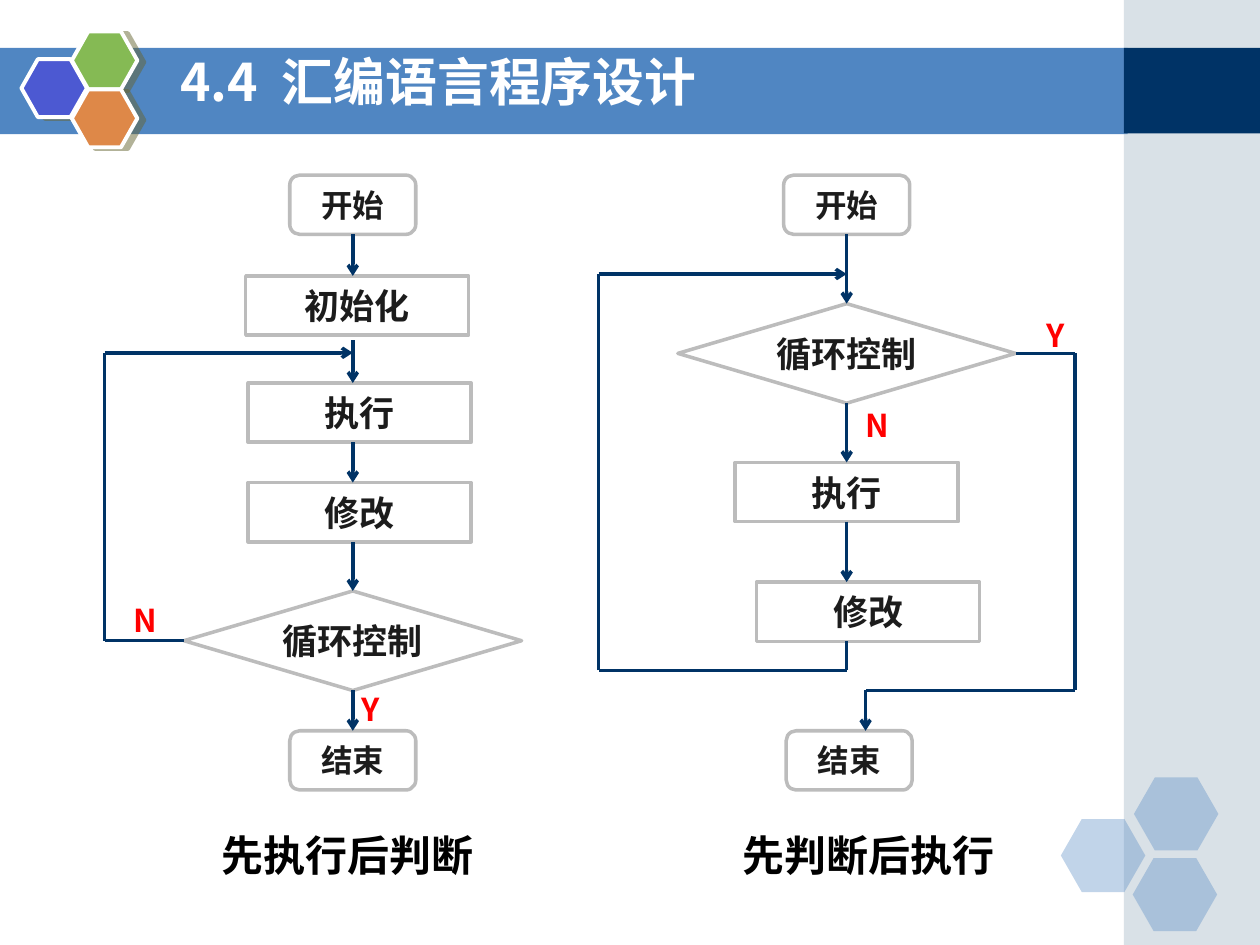
from lxml import etree
from pptx import Presentation
from pptx.dml.color import RGBColor
from pptx.enum.shapes import MSO_CONNECTOR, MSO_SHAPE
from pptx.enum.text import MSO_ANCHOR, MSO_AUTO_SIZE, PP_ALIGN
from pptx.oxml.ns import qn
from pptx.util import Inches, Pt

RECTANGLE, HEXAGON = MSO_SHAPE.RECTANGLE, MSO_SHAPE.HEXAGON
TERMINAL = MSO_SHAPE.FLOWCHART_ALTERNATE_PROCESS
PROCESS, DECISION = MSO_SHAPE.FLOWCHART_PROCESS, MSO_SHAPE.FLOWCHART_DECISION
STRAIGHT = MSO_CONNECTOR.STRAIGHT
MIDDLE, NO_FIT = MSO_ANCHOR.MIDDLE, MSO_AUTO_SIZE.NONE
LEFT, CENTER = PP_ALIGN.LEFT, PP_ALIGN.CENTER
TOP_SITE, LEFT_SITE, BOTTOM_SITE, RIGHT_SITE = range(4)

FONT = "Noto Sans CJK SC"
COLORS = {
    "band": "5086C2", "side": "A0B5C4", "navy": "003366", "white": "FFFFFF",
    "violet": "4C59D2", "green": "85BA54", "orange": "DE8848", "shade": "666633",
    "border": "BCBCBC", "ink": "1C1C1C", "answer": "FF0000", "black": "000000",
}

deck = Presentation()
deck.slide_width, deck.slide_height = Inches(10), Inches(7.5)
UNIT = deck.slide_width / 100  # the page is a grid of 100 columns by 75 rows
page = deck.slides.add_slide(deck.slide_layouts[5])


def add_figure(kind, area, fill, border=None, width=2, opacity=100):
    """Draw a preset shape on the grid; area is left, top, width, height."""
    figure = page.shapes.add_shape(kind, *[round(v * UNIT) for v in area])
    figure.shadow.inherit = False
    figure.fill.solid()
    figure.fill.fore_color.rgb = RGBColor.from_string(COLORS[fill])
    if opacity < 100:
        color = figure.element.spPr.find(qn("a:solidFill"))[0]
        etree.SubElement(color, qn("a:alpha"), val=str(opacity * 1000))
    if border:
        figure.line.color.rgb = RGBColor.from_string(COLORS[border])
        figure.line.width = Pt(width)
    else:
        figure.line.fill.background()
    return figure


def write(shape, text, size, color, align=CENTER):
    frame = shape.text_frame
    settings = {"word_wrap": True, "auto_size": NO_FIT, "vertical_anchor": MIDDLE}
    for name, value in settings.items():
        setattr(frame, name, value)
    para = frame.paragraphs[0]
    para.alignment = align
    span = para.add_run()
    span.text = text
    for name, value in {"size": Pt(size), "bold": True, "name": FONT}.items():
        setattr(span.font, name, value)
    span.font.color.rgb = RGBColor.from_string(COLORS[color])
    etree.SubElement(span.font._element, qn("a:ea"), typeface=FONT)


# Header band, side panel and hexagons
add_figure(RECTANGLE, (0, 3.8, 89.5, 6.85), "band")
add_figure(RECTANGLE, (89.2, 0, 10.8, 75), "side", opacity=40)
add_figure(RECTANGLE, (89.2, 3.8, 10.8, 6.8), "navy")
for left, top in [(84.2, 65), (90, 61.7), (89.9, 68.1)]:
    hexagon = add_figure(HEXAGON, (left, top, 6.7, 5.8), "band", opacity=35)
    hexagon.adjustments[0] = 0.286
for left, top, color in [(1.7, 4.7, "violet"), (5.7, 2.5, "green"), (5.7, 7.1, "orange")]:
    hexagon = add_figure(HEXAGON, (left, top, 5.2, 4.6), color, "white", 2.25)
    hexagon.adjustments[0] = 0.283
    effects = hexagon.element.spPr.find(qn("a:effectLst"))
    shadow = etree.SubElement(effects, qn("a:outerShdw"), dist=str(Pt(4.1)),
                              dir=str(14 * 60000), algn="ctr", rotWithShape="0")
    shade = etree.SubElement(shadow, qn("a:srgbClr"), val=COLORS["shade"])
    etree.SubElement(shade, qn("a:alpha"), val="50000")

# Title, brought in front of the band
title = page.shapes.title
for name, value in zip(("left", "top", "width", "height"), (13.3, 3.6, 73.3, 6.2)):
    setattr(title, name, round(value * UNIT))
write(title, "4.4  汇编语言程序设计", 29.6, "white", LEFT)
title.text_frame.paragraphs[0].line_spacing = 0.9
title.element.getparent().append(title.element)

# Flowchart boxes: width, height and text size by kind
SIZES = {TERMINAL: (10, 4.7, 18), PROCESS: (17.7, 4.7, 20), DECISION: (26.8, 7.9, 20)}
LOOP_AXIS, TEST_AXIS = 28, 67.2
steps = [
    ("loop start", TERMINAL, LOOP_AXIS, 13.9, "开始"),
    ("loop setup", PROCESS, LOOP_AXIS + 0.35, 21.9, "初始化"),
    ("loop run", PROCESS, LOOP_AXIS + 0.55, 30.4, "执行"),
    ("loop change", PROCESS, LOOP_AXIS + 0.55, 38.3, "修改"),
    ("loop control", DECISION, LOOP_AXIS, 46.9, "循环控制"),
    ("loop end", TERMINAL, LOOP_AXIS, 58, "结束"),
    ("test start", TERMINAL, TEST_AXIS, 13.9, "开始"),
    ("test control", DECISION, TEST_AXIS, 24.1, "循环控制"),
    ("test run", PROCESS, TEST_AXIS, 36.7, "执行"),
    ("test change", PROCESS, TEST_AXIS + 1.7, 46.2, "修改"),
    ("test end", TERMINAL, TEST_AXIS + 0.2, 58, "结束"),
]
boxes = {}
for name, kind, center, top, text in steps:
    width, height, size = SIZES[kind]
    boxes[name] = add_figure(kind, (center - width / 2, top, width, height), "white", "border")
    write(boxes[name], text, size, "ink")

# Routes: corner points, then the box sides joined at the start and the end
routes = [
    ([(28, 18.6), (28, 21.9)], ("loop start", BOTTOM_SITE), None),
    ([(28, 27), (28, 30.4)], None, None),
    ([(28, 35.1), (28, 38.3)], None, None),
    ([(28, 43), (28, 46.9)], None, ("loop control", TOP_SITE)),
    ([(28, 54.8), (28, 58)], ("loop control", BOTTOM_SITE), ("loop end", TOP_SITE)),
    ([(14.6, 50.85), (8.3, 50.85), (8.3, 28), (28, 28)], ("loop control", LEFT_SITE), None),
    ([(67.2, 18.6), (67.2, 24.1)], ("test start", BOTTOM_SITE), ("test control", TOP_SITE)),
    ([(67.2, 32), (67.2, 36.7)], ("test control", BOTTOM_SITE), ("test run", TOP_SITE)),
    ([(67.2, 41.4), (67.2, 46.2)], ("test run", BOTTOM_SITE), None),
    ([(67.2, 50.9), (67.2, 53.2), (47.5, 53.2), (47.5, 21.75), (67.2, 21.75)], None, None),
    ([(80.6, 28.05), (85.3, 28.05), (85.3, 54.8), (68.7, 54.8), (68.7, 58)],
     ("test control", RIGHT_SITE), None),
]
for points, origin, target in routes:
    segments = []
    for start, finish in zip(points, points[1:]):
        segment = page.shapes.add_connector(STRAIGHT, *[round(v * UNIT) for v in start + finish])
        segment.line.color.rgb = RGBColor.from_string(COLORS["navy"])
        segment.line.width = Pt(2)
        etree.SubElement(segment.element.spPr, qn("a:effectLst"))
        segments.append(segment)
    outline = segments[-1].element.spPr.find(qn("a:ln"))
    etree.SubElement(outline, qn("a:tailEnd"), type="arrow")
    if origin:
        segments[0].begin_connect(boxes[origin[0]], origin[1])
    if target:
        segments[-1].end_connect(boxes[target[0]], target[1])

# Branch answers and captions
labels = [
    ("Y", (26.2, 54.6, 6.5, 3.4), 18, "answer"),
    ("N", (8.3, 47.5, 6.5, 3.4), 18, "answer"),
    ("Y", (80.5, 24.9, 6.5, 3.4), 18, "answer"),
    ("N", (66.4, 32, 6.5, 3.4), 18, "answer"),
    ("先执行后判断", (13.8, 65.1, 27.6, 5.5), 24, "black"),
    ("先判断后执行", (55.5, 65.1, 26.8, 5.5), 24, "black"),
]
for text, area, size, color in labels:
    write(page.shapes.add_textbox(*[round(v * UNIT) for v in area]), text, size, color)

deck.save("out.pptx")
